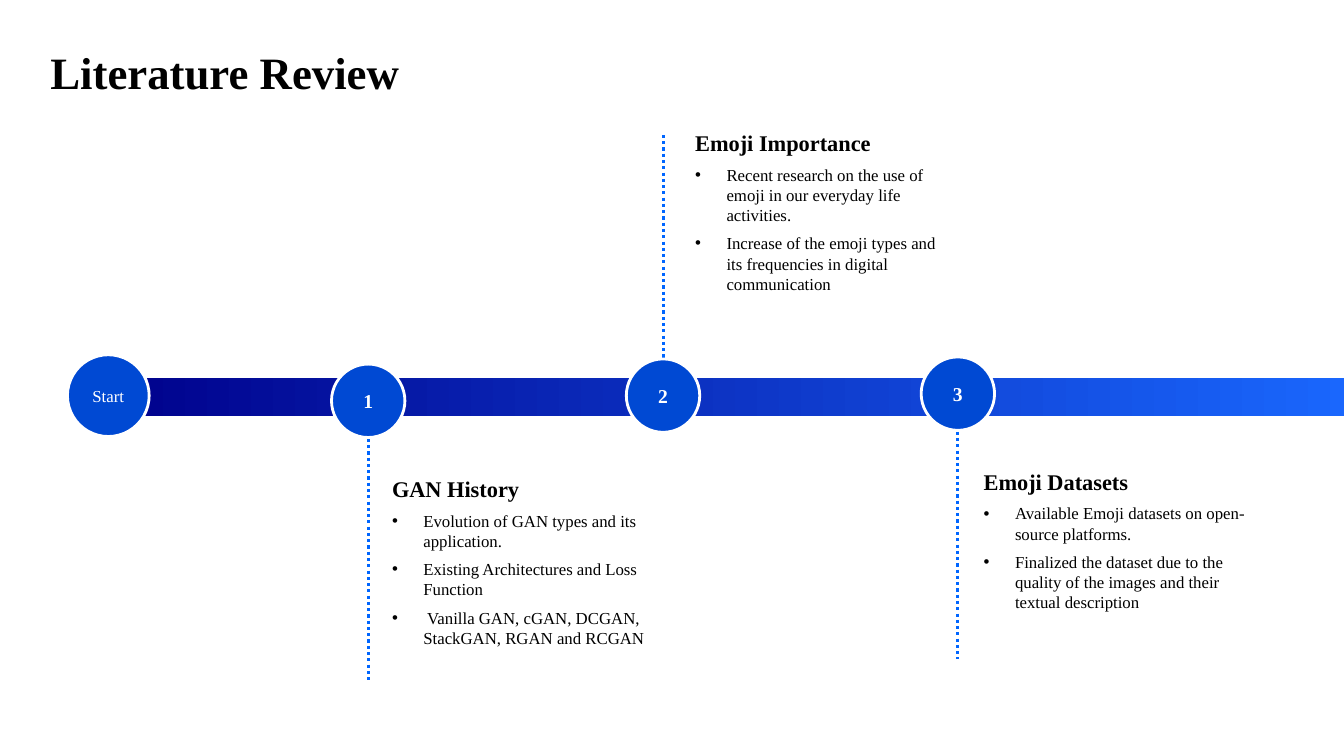
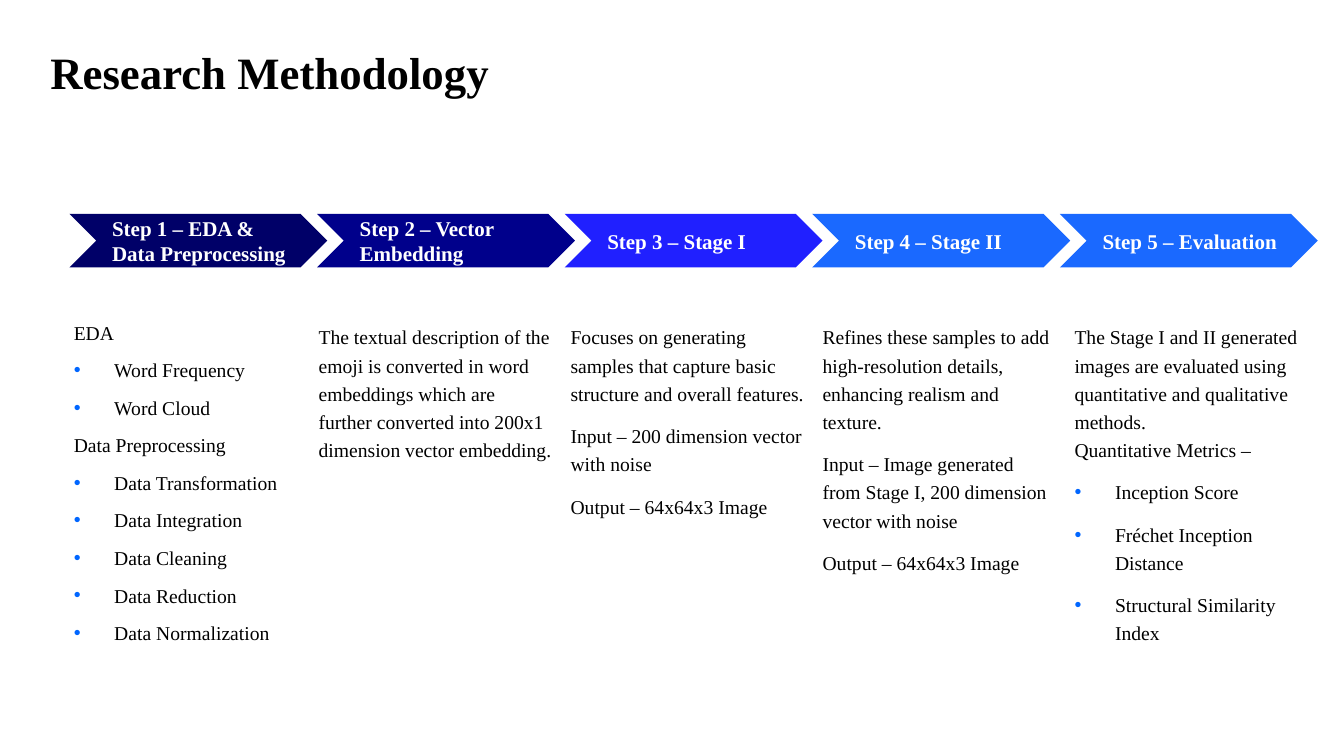
from pptx import Presentation
from pptx.dml.color import RGBColor
from pptx.enum.dml import MSO_LINE
from pptx.enum.shapes import MSO_CONNECTOR, MSO_SHAPE as Kind
from pptx.enum.text import MSO_ANCHOR as Anchor, PP_ALIGN as Align
from pptx.oxml.ns import qn
from pptx.util import Cm, Pt
from lxml.etree import SubElement

BLACK, WHITE = "000000", "FFFFFF"
NAVY, SKY, DISC, ACCENT = "00008B", "1A69FF", "0049D3", "0066FF"


def color(value):
    return RGBColor.from_string(value)


def apply(target, values):
    for name, value in values.items():
        setattr(target, name, value)


def margins(left, top, right, bottom):
    names = ("margin_left", "margin_top", "margin_right", "margin_bottom")
    return {name: Cm(size) for name, size in zip(names, (left, top, right, bottom))}


def style(size, ink=BLACK, bold=False, bullet=None, **para):
    return {"size": Pt(size), "ink": ink, "bold": bold, "bullet": bullet, "para": para}


def column_styles(**spacing):
    base = {"space_before": Pt(10), **spacing}
    return {
        "plain": style(14, **base),
        "close": style(14, **{**base, "space_before": Pt(0)}),
        "item": style(14, bullet=(1.02, ACCENT), **base),
    }


TITLE = style(32, bold=True)
HEADING = style(16, bold=True)
POINT = style(12, bullet=(0.79, BLACK), space_before=Pt(6))
START = style(12, WHITE, alignment=Align.CENTER)
NUMBER = style(14, WHITE, True, alignment=Align.CENTER)
STEP = style(15, WHITE, True)
TIGHT = column_styles()
LOOSE = column_styles(line_spacing=1.2)

TITLE_FRAME = {"vertical_anchor": Anchor.MIDDLE, **margins(0, 0.2, 0.25, 0.13)}
NOTE_FRAME = margins(0.25, 0.13, 0.25, 0.13)
COLUMN_FRAME = margins(0.13, 0.08, 0.13, 0.08)
DISC_FRAME = {"vertical_anchor": Anchor.MIDDLE, **margins(0, 0, 0, 0)}
STEP_FRAME = {"vertical_anchor": Anchor.MIDDLE, **margins(0.4, 0.13, 0.25, 0.13)}


class SlideWriter:
    font_name = "Times New Roman"

    def __init__(self):
        self.deck = Presentation()
        self.deck.slide_width, self.deck.slide_height = Cm(33.87), Cm(19.05)
        self.page = None

    def start_page(self, title):
        self.page = self.deck.slides.add_slide(self.deck.slide_layouts[6])
        self.text((1.27, 0.43, 31.33, 2.7), [(title, TITLE)], TITLE_FRAME)

    def fill_frame(self, frame, lines, frame_format):
        apply(frame, {"word_wrap": True, **frame_format})
        for index, (words, look) in enumerate(lines):
            para = frame.add_paragraph() if index else frame.paragraphs[0]
            apply(para, look["para"])
            if not index:
                para.space_before = Pt(0)
            if look["bullet"]:
                self.bullet(para, *look["bullet"])
            span = para.add_run()
            span.text = words
            apply(span.font, {"name": self.font_name, "size": look["size"], "bold": look["bold"]})
            span.font.color.rgb = color(look["ink"])

    def bullet(self, para, indent, ink):
        props = para._p.get_or_add_pPr()
        props.set("marL", str(Cm(indent)))
        props.set("indent", str(-Cm(indent)))
        SubElement(SubElement(props, qn("a:buClr")), qn("a:srgbClr")).set("val", ink)
        SubElement(props, qn("a:buFont")).set("typeface", "Arial")
        SubElement(props, qn("a:buChar")).set("char", "•")

    def text(self, area, lines, frame_format):
        box = self.page.shapes.add_textbox(*map(Cm, area))
        self.fill_frame(box.text_frame, lines, frame_format)

    def shape(self, kind, area):
        shape = self.page.shapes.add_shape(kind, *map(Cm, area))
        shape.shadow.inherit = False
        shape.line.fill.background()
        return shape

    def gradient_bar(self, area, first, last):
        bar = self.shape(Kind.PENTAGON, area)
        bar.fill.gradient()
        bar.fill.gradient_angle = 0
        for stop, position, ink in zip(bar.fill.gradient_stops, (0, 1), (first, last)):
            stop.position = position
            stop.color.rgb = color(ink)

    def label(self, kind, area, fill, line, frame_format):
        shape = self.shape(kind, area)
        shape.fill.solid()
        shape.fill.fore_color.rgb = color(fill)
        self.fill_frame(shape.text_frame, [line], frame_format)
        return shape

    def disc(self, center_x, center_y, size, line):
        area = (center_x - size / 2, center_y - size / 2, size, size)
        disc = self.label(Kind.OVAL, area, DISC, line, DISC_FRAME)
        disc.line.color.rgb = color(WHITE)
        disc.line.width = Pt(2)

    def dotted_line(self, x, top, bottom):
        line = self.page.shapes.add_connector(
            MSO_CONNECTOR.STRAIGHT, Cm(x), Cm(top), Cm(x), Cm(bottom))
        apply(line.line, {"width": Pt(2.25), "dash_style": MSO_LINE.ROUND_DOT})
        line.line.color.rgb = color(ACCENT)
        SubElement(line._element.spPr, qn("a:effectLst"))


MILESTONES = [
    (10.1, (9.32, 17.15), (9.63, 11.84, 7.09, 5.31), "GAN History", [
        "Evolution of GAN types and its application.",
        "Existing Architectures and Loss Function",
        " Vanilla GAN, cGAN, DCGAN, StackGAN, RGAN and RCGAN"]),
    (9.97, (3.4, 10.49), (17.27, 3.12, 6.86, 4.9), "Emoji Importance", [
        "Recent research on the use of emoji in our everyday life activities.",
        "Increase of the emoji types and its frequencies in digital communication"]),
    (9.92, (9.14, 16.61), (24.54, 11.66, 7.09, 6.91), "Emoji Datasets", [
        "Available Emoji datasets on open-source platforms.",
        "Finalized the dataset due to the quality of the images and their textual description"]),
]

STEPS = [
    ("Step 1 – EDA & Data Preprocessing", "000068", 1.73, TIGHT, [
        ("EDA", "plain"),
        ("Word Frequency", "item"),
        ("Word Cloud", "item"),
        ("Data Preprocessing", "plain"),
        ("Data Transformation", "item"),
        ("Data Integration", "item"),
        ("Data Cleaning", "item"),
        ("Data Reduction", "item"),
        ("Data Normalization", "item")]),
    ("Step 2 – Vector Embedding", NAVY, 7.9, LOOSE, [
        ("The textual description of the emoji is converted in word embeddings which are "
         "further converted into 200x1 dimension vector embedding.", "plain")]),
    ("Step 3 – Stage I", "2020FF", 14.25, LOOSE, [
        ("Focuses on generating samples that capture basic structure and overall features.", "plain"),
        ("Input – 200 dimension vector with noise", "plain"),
        ("Output – 64x64x3 Image", "plain")]),
    ("Step 4 – Stage II", SKY, 20.6, LOOSE, [
        ("Refines these samples to add high-resolution details, enhancing realism and texture.", "plain"),
        ("Input – Image generated from Stage I, 200 dimension vector with noise", "plain"),
        ("Output – 64x64x3 Image", "plain")]),
    ("Step 5 – Evaluation", SKY, 26.95, LOOSE, [
        ("The Stage I and II generated images are evaluated using quantitative and "
         "qualitative methods.", "plain"),
        ("Quantitative Metrics –", "close"),
        ("Inception Score", "item"),
        ("Fréchet Inception Distance", "item"),
        ("Structural Similarity Index", "item")]),
]


def literature_review(writer):
    writer.start_page("Literature Review")
    writer.gradient_bar((2.44, 9.53, 32.18, 0.96), NAVY, SKY)
    writer.disc(2.73, 9.97, 2.06, ("Start", START))
    for index, (center_y, reach, area, heading, points) in enumerate(MILESTONES):
        center_x = 9.28 + 7.43 * index
        writer.dotted_line(center_x, *reach)
        writer.disc(center_x, center_y, 1.85, (str(index + 1), NUMBER))
        lines = [(heading, HEADING)] + [(point, POINT) for point in points]
        writer.text(area, lines, NOTE_FRAME)


def research_methodology(writer):
    writer.start_page("Research Methodology")
    for index, (name, fill, left, styles, lines) in enumerate(STEPS):
        area = (1.75 + 6.24 * index, 5.39, 6.5, 1.35)
        writer.label(Kind.CHEVRON, area, fill, (name, STEP), STEP_FRAME).text_frame.paragraphs[0].alignment = Align.LEFT
        column = [(words, styles[look]) for words, look in lines]
        writer.text((left, 8, 6.15, 9), column, COLUMN_FRAME)


def main():
    writer = SlideWriter()
    literature_review(writer)
    research_methodology(writer)
    writer.deck.save("out.pptx")


if __name__ == "__main__":
    main()
